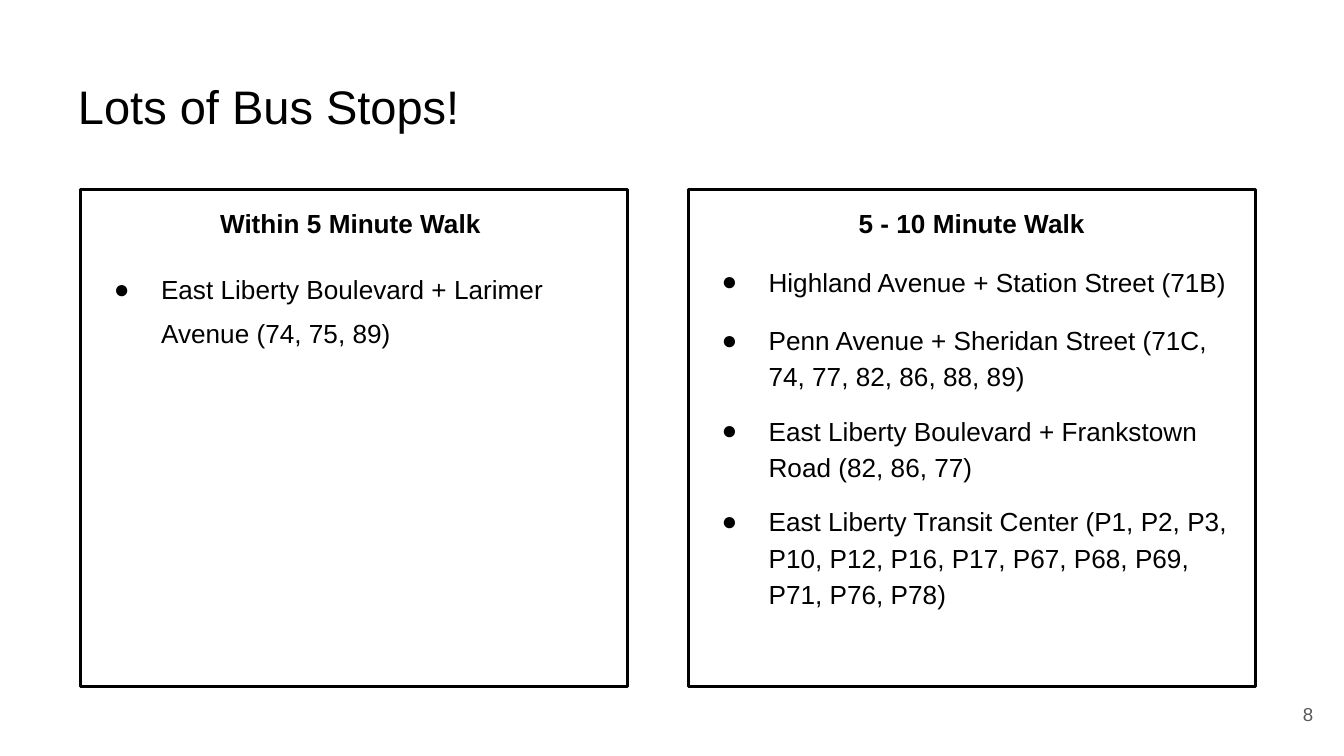
import dataclasses

import pptx
import pptx.dml.color
import pptx.enum.shapes
import pptx.enum.text
import pptx.util
from lxml import etree
from pptx.oxml.ns import qn

Inches = pptx.util.Inches
Pt = pptx.util.Pt
Align = pptx.enum.text.PP_ALIGN
Anchor = pptx.enum.text.MSO_ANCHOR


@dataclasses.dataclass(frozen=True)
class Theme:
    """Hold the colours and type sizes of the deck."""
    face: str = "Arial"
    ink: str = "000000"
    gray: str = "595959"
    paper: str = "FFFFFF"
    title: float = 25.2
    body: float = 14
    page: float = 10
    edge: float = 1.5


THEME = Theme()


def color(code):
    """Turn a hex code into a colour value."""
    return pptx.dml.color.RGBColor.from_string(code)


def apply(item, form):
    """Set each attribute named in the format dict."""
    for name, value in form.items():
        setattr(item, name, value)


def place(shape, box):
    """Move a shape to a box given in inches."""
    names = ("left", "top", "width", "height")
    apply(shape, dict(zip(names, map(Inches, box))))


def frame(shape, anchor=Anchor.TOP):
    """Prepare the text frame of a shape and return it."""
    pad = Inches(0.1)
    apply(shape.text_frame, {
        "word_wrap": True,
        "auto_size": pptx.enum.text.MSO_AUTO_SIZE.NONE,
        "vertical_anchor": anchor,
        "margin_left": pad, "margin_right": pad,
        "margin_top": pad, "margin_bottom": pad,
    })
    return shape.text_frame


def write(para, text, size, ink=THEME.ink, bold=False, **form):
    """Fill a paragraph with text in the given format."""
    apply(para, form)
    run = para.add_run()
    run.text = text
    apply(run.font, {"name": THEME.face, "size": Pt(size), "bold": bold})
    run.font.color.rgb = color(ink)


def bullet(para):
    """Give a paragraph a hanging round bullet."""
    props = para._p.get_or_add_pPr()
    props.set("marL", str(Inches(0.5)))
    props.set("indent", str(Inches(-0.35)))
    tint = etree.SubElement(props, qn("a:buClr"))
    etree.SubElement(tint, qn("a:srgbClr"), val=THEME.ink)
    etree.SubElement(props, qn("a:buFont"), typeface=THEME.face)
    etree.SubElement(props, qn("a:buChar"), char="●")


def title(slide, box, text):
    """Place the slide title in its box."""
    shape = slide.shapes.title
    place(shape, box)
    write(frame(shape).paragraphs[0], text, THEME.title, alignment=Align.LEFT)


def panel(slide, box, head, stops, pitch=1.15):
    """Draw an outlined box with a heading and a list of stops."""
    kind = pptx.enum.shapes.MSO_SHAPE.RECTANGLE
    shape = slide.shapes.add_shape(kind, *map(Inches, box))
    shape.shadow.inherit = False
    shape.fill.background()
    shape.line.color.rgb = color(THEME.ink)
    shape.line.width = Pt(THEME.edge)
    text = frame(shape)
    write(text.paragraphs[0], head, THEME.body, bold=True,
          alignment=Align.CENTER, line_spacing=1.15)
    for stop, gap in stops:
        para = text.add_paragraph()
        bullet(para)
        write(para, stop, THEME.body, alignment=Align.LEFT,
              line_spacing=pitch, space_before=Pt(gap))
    para.space_after = Pt(12)


def number(slide, box, text):
    """Place the page number in its box."""
    shape = slide.shapes.add_textbox(*map(Inches, box))
    para = frame(shape, Anchor.MIDDLE).paragraphs[0]
    write(para, text, THEME.page, THEME.gray, alignment=Align.RIGHT)


def main():
    """Build the bus stop slide and save it."""
    deck = pptx.Presentation()
    wide = Inches(10)
    apply(deck, {"slide_width": wide, "slide_height": wide * 9 // 16})
    slide = deck.slides.add_slide(deck.slide_layouts[5])
    slide.background.fill.solid()
    slide.background.fill.fore_color.rgb = color(THEME.paper)
    title(slide, (0.48, 0.48, 9.32, 0.63), "Lots of Bus Stops!")
    top, tall = 1.41, 3.7
    panel(slide, (0.6, top, 4.07, tall), "Within 5 Minute Walk ", [
        ("East Liberty Boulevard + Larimer Avenue (74, 75, 89)", 12),
    ], pitch=1.4)
    panel(slide, (5.12, top, 4.22, tall), "5 - 10 Minute Walk", [
        ("Highland Avenue + Station Street (71B)", 12),
        ("Penn Avenue + Sheridan Street (71C, 74, 77, 82, 86, 88, 89)", 12),
        ("East Liberty Boulevard + Frankstown Road (82, 86, 77)", 10),
        ("East Liberty Transit Center (P1, P2, P3, P10, P12, P16, P17, "
         "P67, P68, P69, P71, P76, P78)", 10),
    ])
    number(slide, (9.27, 5.1, 0.6, 0.43), "8")
    deck.save("out.pptx")


if __name__ == "__main__":
    main()
